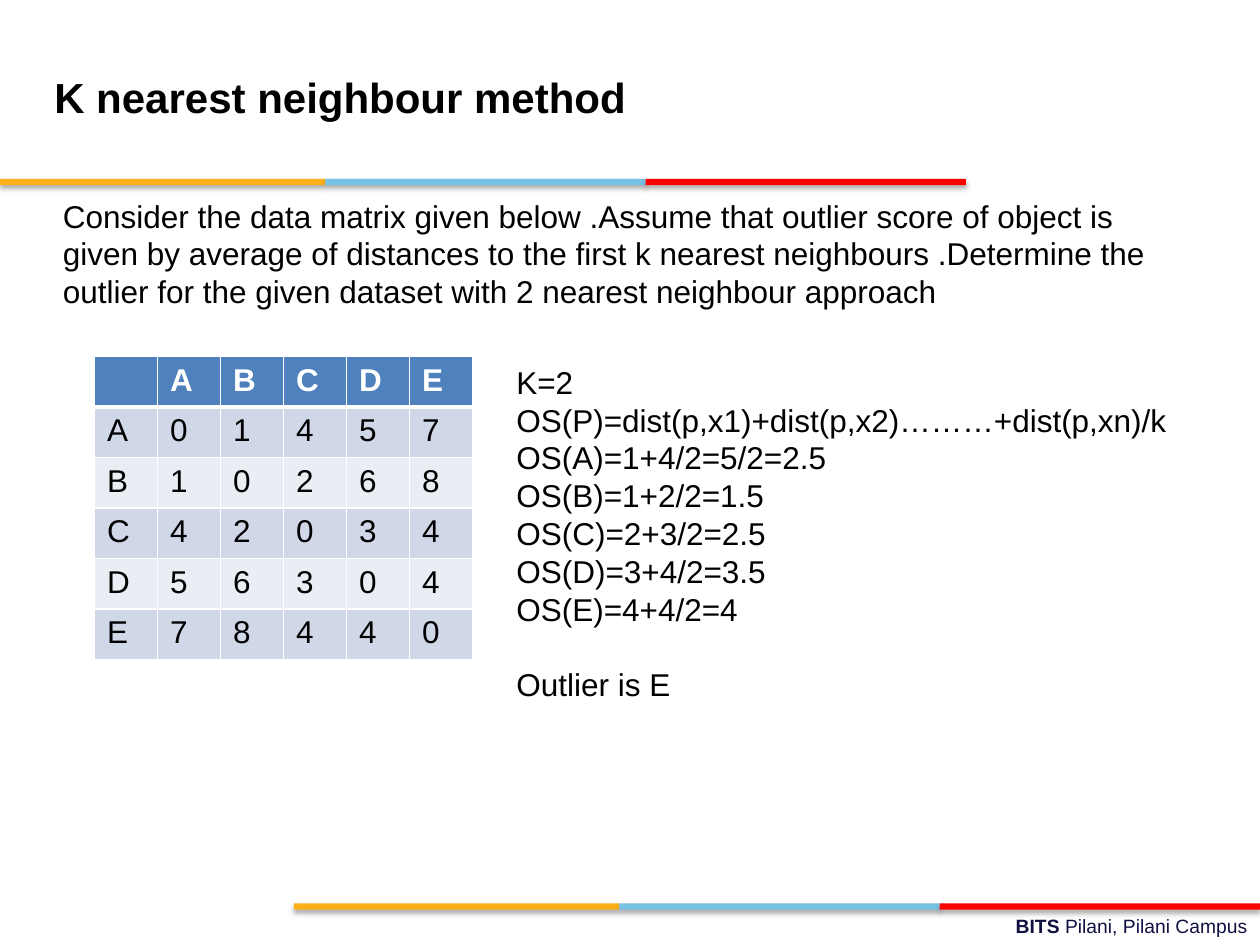
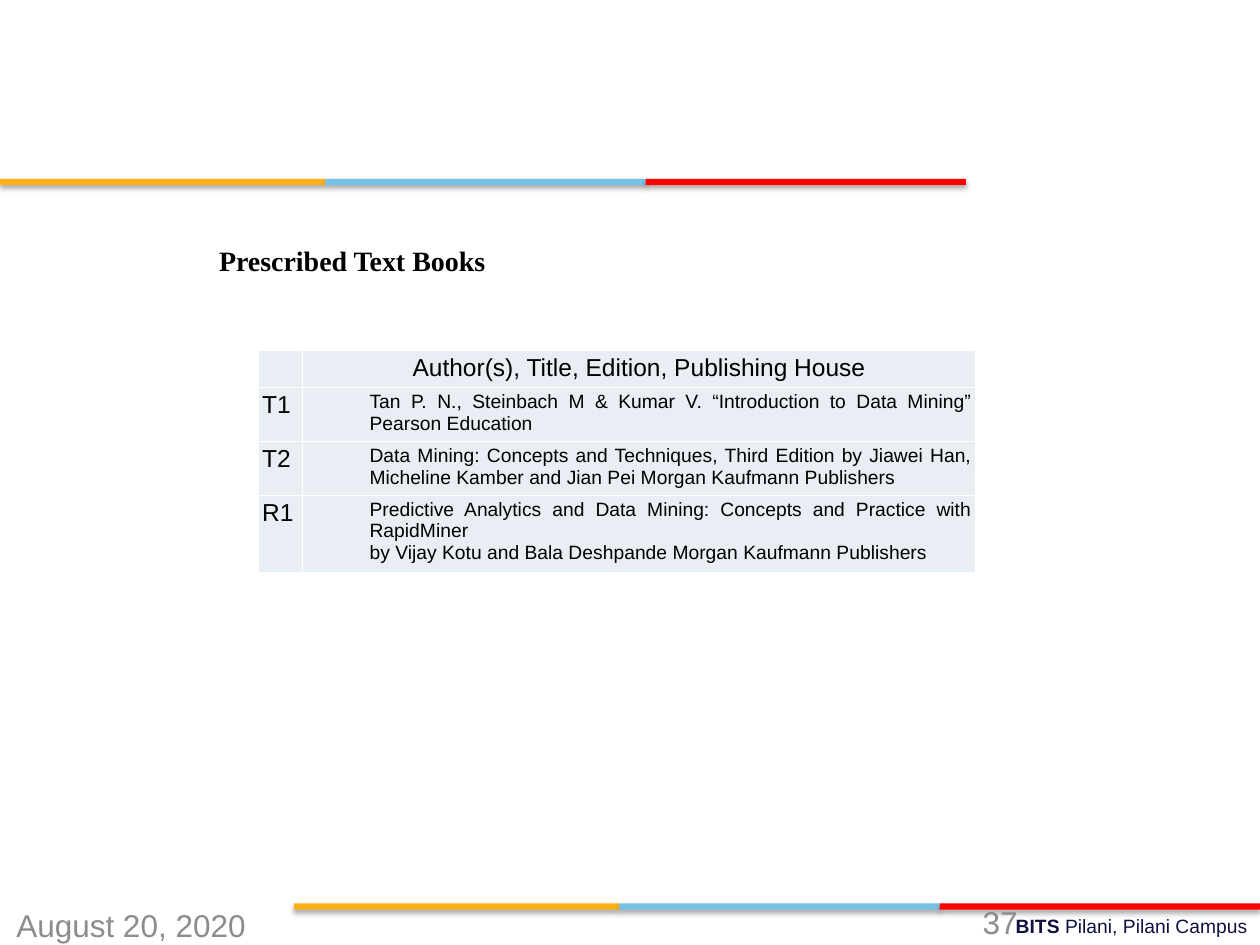
from dataclasses import dataclass

from lxml.etree import SubElement
from pptx import Presentation
from pptx.dml.color import RGBColor
from pptx.enum.shapes import MSO_SHAPE
from pptx.enum.text import MSO_ANCHOR, PP_ALIGN
from pptx.oxml.ns import qn
from pptx.util import Pt


@dataclass(frozen=True)
class Theme:
    font: str = "Arial"
    serif: str = "Times New Roman"
    black: str = "000000"
    white: str = "FFFFFF"
    navy: str = "101141"
    grey: str = "8C8C8C"
    header: str = "4F81BD"
    band_dark: str = "D0D8E8"
    band_light: str = "E9EDF4"
    stripes: tuple = (("FCB017", 186), ("76C2E5", 183), ("FF0000", 183))
    title: int = 24
    body: int = 18
    heading: int = 16
    label: int = 14
    small: int = 11


class Deck:
    def __init__(self, theme):
        self.theme = theme
        self.prs = Presentation()
        self.prs.slide_width, self.prs.slide_height = Pt(720), Pt(540)
        self.slide = None

    def new_slide(self):
        """Start a slide with the shared stripes and footer."""
        t = self.theme
        self.slide = self.prs.slides.add_slide(self.prs.slide_layouts[6])
        tf = self.text("BITS ", 257.8, 519, 462.2, 20, size=t.small,
                       color=t.navy, bold=True, align=PP_ALIGN.RIGHT)
        r = tf.paragraphs[0].add_run()
        r.text = "Pilani, Pilani Campus"
        self.style_run(r, t.small, t.navy)
        self.stripe(168, 516.2)
        self.stripe(0, 102.2)

    def stripe(self, x, y):
        for color, width in self.theme.stripes:
            sp = self.slide.shapes.add_shape(
                MSO_SHAPE.RECTANGLE, Pt(x), Pt(y), Pt(width), Pt(3.6))
            sp.fill.solid()
            sp.fill.fore_color.rgb = RGBColor.from_string(color)
            sp.line.fill.background()
            self.soft_shadow(sp)
            x += width

    def soft_shadow(self, sp):
        sp.shadow.inherit = False
        effects = sp._element.spPr.find(qn("a:effectLst"))
        shadow = SubElement(effects, qn("a:outerShdw"), blurRad=str(Pt(3.1)),
                            dist=str(Pt(1.8)), dir="5400000", rotWithShape="0")
        color = SubElement(shadow, qn("a:srgbClr"), val=self.theme.black)
        SubElement(color, qn("a:alpha"), val="35000")

    def style_run(self, r, size, color, bold=False, font=None):
        r.font.name = font or self.theme.font
        r.font.size = Pt(size)
        r.font.bold = bold
        r.font.color.rgb = RGBColor.from_string(color)

    def set_text(self, tf, text, size, color, bold=False, font=None,
                 align=PP_ALIGN.LEFT, indent=0):
        tf.text = text
        for p in tf.paragraphs:
            p.alignment = align
            if indent:
                p._p.get_or_add_pPr().set("marL", str(Pt(indent)))
            for r in p.runs:
                self.style_run(r, size, color, bold, font)
            if not p.runs:
                SubElement(p._p, qn("a:endParaRPr"), sz=str(size * 100))

    def text(self, text, x, y, w, h, size=None, color=None, inset=(7.2, 3.6),
             anchor=MSO_ANCHOR.TOP, wrap=True, **style):
        tf = self.slide.shapes.add_textbox(Pt(x), Pt(y), Pt(w), Pt(h)).text_frame
        tf.word_wrap = wrap
        tf.vertical_anchor = anchor
        tf.margin_left = tf.margin_right = Pt(inset[0])
        tf.margin_top = tf.margin_bottom = Pt(inset[1])
        self.set_text(tf, text, size or self.theme.body,
                      color or self.theme.black, **style)
        return tf

    def title(self, text):
        self.text(text, 31, 21.6, 481.7, 67, size=self.theme.title, bold=True,
                  inset=(0, 0), anchor=MSO_ANCHOR.MIDDLE)

    def table(self, rows, x, y, widths, heights, cell_style):
        """cell_style(row, column) gives the fill, inset, text style and edges."""
        tbl = self.slide.shapes.add_table(
            len(rows), len(widths), Pt(x), Pt(y),
            Pt(sum(widths)), Pt(sum(heights))).table
        tbl.first_row = tbl.horz_banding = False
        for column, width in zip(tbl.columns, widths):
            column.width = Pt(width)
        for i, (row, height) in enumerate(zip(rows, heights)):
            tbl.rows[i].height = Pt(height)
            for j, value in enumerate(row):
                fill, inset, style, edges = cell_style(i, j)
                cell = tbl.cell(i, j)
                self.borders(cell, **edges)
                cell.fill.solid()
                cell.fill.fore_color.rgb = RGBColor.from_string(fill)
                cell.margin_left = cell.margin_right = Pt(inset[0])
                cell.margin_top = cell.margin_bottom = Pt(inset[1])
                self.set_text(cell.text_frame, value, **style)

    def borders(self, cell, **edges):
        tcPr = cell._tc.get_or_add_tcPr()
        for side in "LRTB":
            ln = SubElement(tcPr, qn("a:ln" + side), w=str(Pt(edges.get(side, 1))))
            fill = SubElement(ln, qn("a:solidFill"))
            SubElement(fill, qn("a:srgbClr"), val=self.theme.white)


def neighbour_slide(deck):
    t = deck.theme
    deck.new_slide()
    deck.title("K nearest neighbour method")
    deck.text("Consider the data matrix given below .Assume that outlier score of "
              "object is given by average of distances to the first k nearest "
              "neighbours .Determine the outlier for the given dataset with 2 "
              "nearest neighbour approach", 36, 112.3, 648, 356.4, inset=(0, 0))

    # Distance matrix
    names = "ABCDE"
    distances = ["01457", "10268", "42034", "56304", "78440"]
    rows = [["", *names]] + [[n, *d] for n, d in zip(names, distances)]

    def matrix_style(i, j):
        fill = t.header if i == 0 else t.band_dark if i % 2 else t.band_light
        style = dict(size=t.body, color=t.black if i else t.white, bold=i == 0)
        edges = {0: {"B": 3}, 1: {"T": 3}}.get(i, {})
        return fill, (7.2, 3.6), style, edges

    deck.table(rows, 54, 203.8, [36] * 6, [27.3] * 6, matrix_style)

    # Outlier scores
    scores = ["K=2", "OS(P)=dist(p,x1)+dist(p,x2)………+dist(p,xn)/k",
              "OS(A)=1+4/2=5/2=2.5", "OS(B)=1+2/2=1.5", "OS(C)=2+3/2=2.5",
              "OS(D)=3+4/2=3.5", "OS(E)=4+4/2=4", "Outlier is E"]
    tf = deck.text("\n".join(scores), 288, 203.8, 414, 334)
    tf.paragraphs[-1].space_before = Pt(21.6)


def books_slide(deck):
    t = deck.theme
    deck.new_slide()

    # Book list
    rows = [
        ("", "Author(s), Title, Edition, Publishing House"),
        ("T1", "Tan P. N., Steinbach M & Kumar V. “Introduction to Data Mining” "
               "Pearson Education"),
        ("T2", "Data Mining: Concepts and Techniques, Third Edition by Jiawei Han, "
               "Micheline Kamber and Jian Pei Morgan Kaufmann Publishers"),
        ("R1", "Predictive Analytics and Data Mining: Concepts and Practice with "
               "RapidMiner\n"
               "by Vijay Kotu and Bala Deshpande Morgan Kaufmann Publishers"),
    ]

    def book_style(i, j):
        style = dict(size=t.label, color=t.black)
        if j and i:
            style.update(size=t.small, align=PP_ALIGN.JUSTIFY, indent=36)
        elif j:
            style.update(align=PP_ALIGN.CENTER)
        return t.band_light, (2.2, 2.2), style, {}

    deck.table(rows, 147.6, 200.2, [25.4, 384.6], [20, 29.4, 29.4, 40], book_style)

    deck.text("Prescribed Text Books", 120.2, 135.4, 165, 44, size=t.heading,
              bold=True, font=t.serif, inset=(5, 3.6), wrap=False)

    # Date and page number
    deck.text("August 20, 2020", 2.2, 514, 162, 22.3, color=t.grey)
    deck.text("37", 554.4, 517.7, 162, 18.7, color=t.grey,
              anchor=MSO_ANCHOR.MIDDLE)


def main():
    deck = Deck(Theme())
    neighbour_slide(deck)
    books_slide(deck)
    deck.prs.save("out.pptx")


if __name__ == "__main__":
    main()
